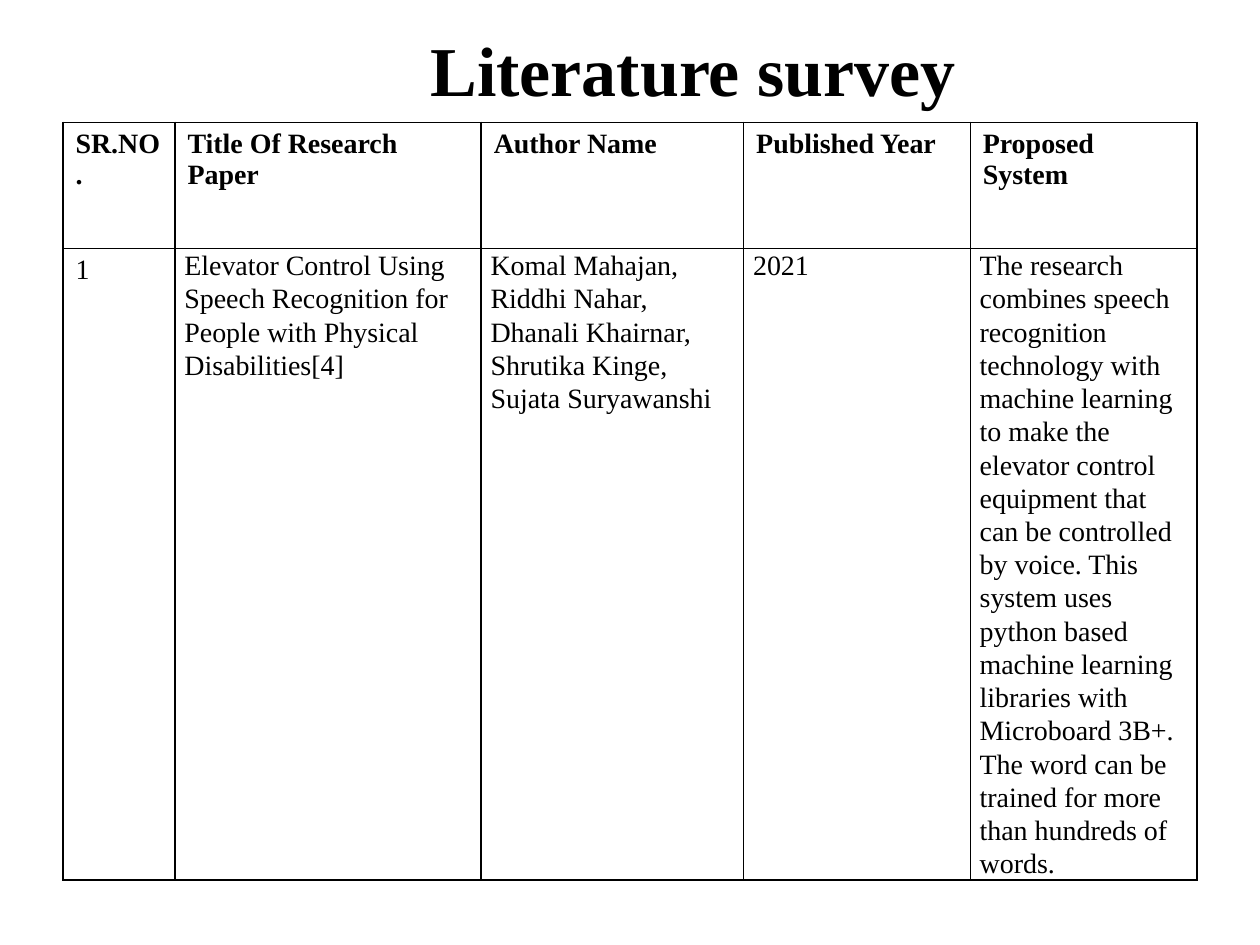
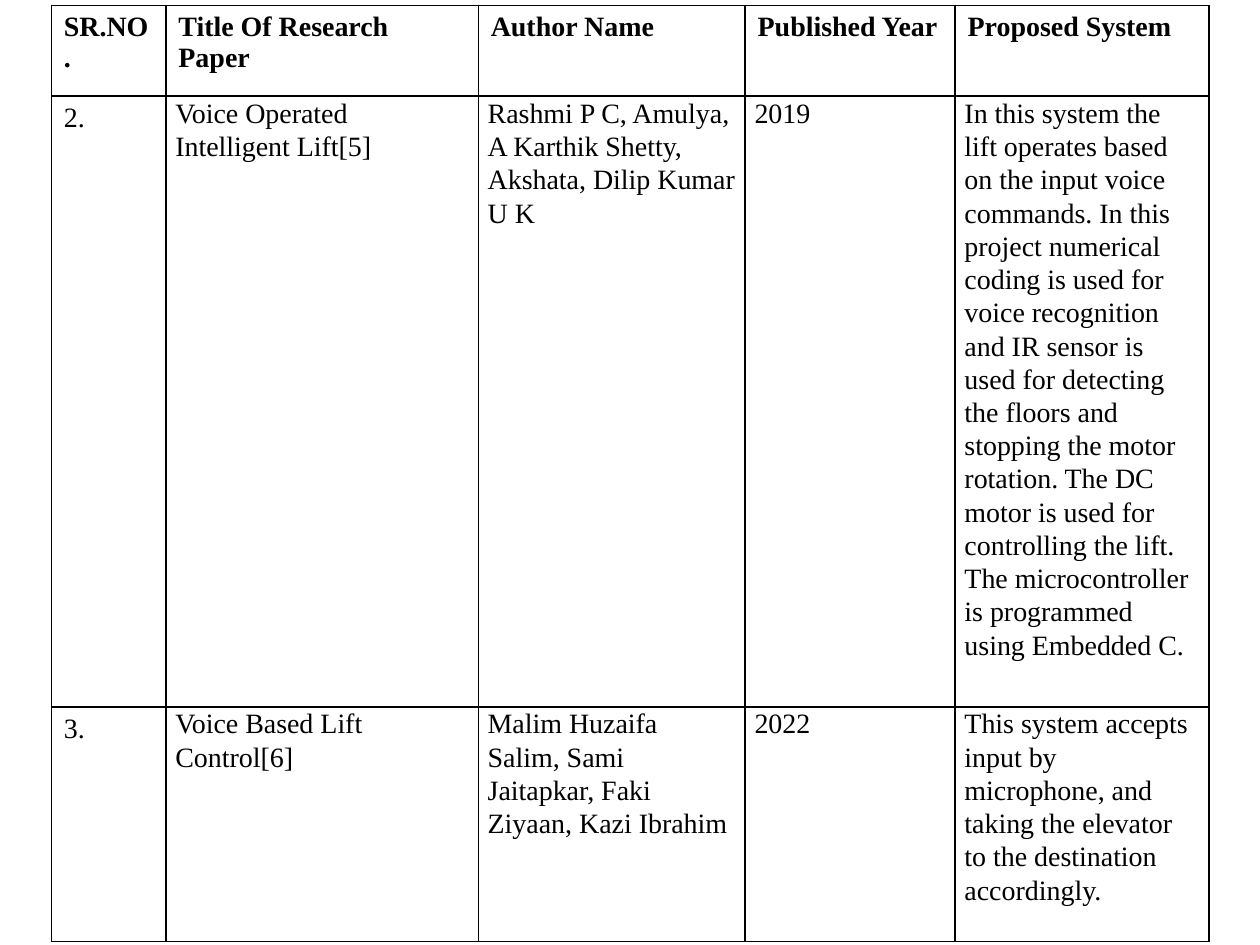
from dataclasses import dataclass

from lxml import etree
from pptx import Presentation
from pptx.dml.color import RGBColor
from pptx.enum import text
from pptx.oxml import ns
from pptx.util import Pt

BLACK = RGBColor(0x00, 0x00, 0x00)
WHITE = RGBColor(0xFF, 0xFF, 0xFF)
FONT = "Times New Roman"
HEADERS = ("SR.NO.", "Title Of Research Paper", "Author Name",
           "Published Year", "Proposed System")


@dataclass(frozen=True)
class Paper:
    number: str
    title: str
    authors: str
    year: str
    system: str

    def values(self) -> tuple[str, ...]:
        return self.number, self.title, self.authors, self.year, self.system


@dataclass(frozen=True)
class Survey:
    left: float
    top: float
    widths: tuple[float, ...]
    heights: tuple[float, ...]
    papers: tuple[Paper, ...]
    heading: str = ""


SURVEYS = (
    Survey(
        36, 70, (64, 175, 150, 129.5, 129.5), (72, 361),
        (Paper("1",
               "Elevator Control Using Speech Recognition for People with "
               "Physical Disabilities[4]",
               "Komal Mahajan, Riddhi Nahar, Dhanali Khairnar, Shrutika Kinge, "
               "Sujata Suryawanshi",
               "2021",
               "The research combines speech recognition technology with machine "
               "learning to make the elevator control equipment that can be "
               "controlled by voice. This system uses python based machine "
               "learning libraries with Microboard 3B+. The word can be trained "
               "for more than hundreds of words."),),
        "Literature survey"),
    Survey(
        29.3, 3, (65.5, 178.5, 152.5, 120, 145), (52, 348.5, 134),
        (Paper("2.",
               "Voice Operated Intelligent Lift[5]",
               "Rashmi P C, Amulya, A Karthik Shetty, Akshata, Dilip Kumar U K",
               "2019",
               "In this system the lift operates based on the input voice "
               "commands. In this project numerical coding is used for voice "
               "recognition and IR sensor is used for detecting the floors and "
               "stopping the motor rotation. The DC motor is used for controlling "
               "the lift. The microcontroller is programmed using Embedded C."),
         Paper("3.",
               "Voice Based Lift Control[6]",
               "Malim Huzaifa Salim, Sami Jaitapkar, Faki Ziyaan, Kazi Ibrahim",
               "2022",
               "This system accepts input by microphone, and taking the elevator "
               "to the destination accordingly."))),
)


def style_runs(p, size: float, bold: bool) -> None:
    for r in p.runs:
        r.font.name = FONT
        r.font.size = Pt(size)
        r.font.bold = bold
        r.font.color.rgb = BLACK


def add_borders(cell) -> None:
    tc_pr = cell._tc.get_or_add_tcPr()
    for side in "LRTB":
        ln = etree.SubElement(tc_pr, ns.qn(f"a:ln{side}"), w=str(Pt(1)))
        fill = etree.SubElement(ln, ns.qn("a:solidFill"))
        etree.SubElement(fill, ns.qn("a:srgbClr"), val=str(BLACK))


def fill_cell(cell, banded: bool) -> None:
    if not banded:
        cell.fill.background()
        return
    cell.fill.solid()
    cell.fill.fore_color.rgb = WHITE
    color = cell._tc.tcPr.find(f"{ns.qn('a:solidFill')}/{ns.qn('a:srgbClr')}")
    etree.SubElement(color, ns.qn("a:alpha"), val="20000")


def write_cell(cell, value: str, row: int, col: int) -> None:
    cell.text_frame.text = value
    p = cell.text_frame.paragraphs[0]
    if row and col:
        cell.margin_left = cell.margin_right = Pt(5.4)
        cell.margin_top = cell.margin_bottom = Pt(0)
        p.line_spacing = 1.07
        p.space_after = Pt(8)
    style_runs(p, 16, row == 0)
    add_borders(cell)
    fill_cell(cell, row % 2 == 1)


def add_survey_table(s, survey: Survey) -> None:
    rows = (HEADERS, *(paper.values() for paper in survey.papers))
    table = s.shapes.add_table(
        len(rows), len(HEADERS), Pt(survey.left), Pt(survey.top),
        Pt(sum(survey.widths)), Pt(sum(survey.heights))).table
    table.first_row = table.horz_banding = False
    for column, width in zip(table.columns, survey.widths):
        column.width = Pt(width)
    for i, (values, height) in enumerate(zip(rows, survey.heights)):
        table.rows[i].height = Pt(height)
        for j, value in enumerate(values):
            write_cell(table.cell(i, j), value, i, j)


def add_heading(s, heading: str) -> None:
    tf = s.shapes.add_textbox(Pt(36), Pt(11.5), Pt(720), Pt(55.5)).text_frame
    tf.word_wrap = True
    tf.auto_size = text.MSO_AUTO_SIZE.SHAPE_TO_FIT_TEXT
    tf.text = heading
    p = tf.paragraphs[0]
    p.alignment = text.PP_ALIGN.CENTER
    style_runs(p, 40, True)


def main() -> None:
    prs = Presentation()
    prs.slide_width, prs.slide_height = Pt(720), Pt(540)
    for survey in SURVEYS:
        s = prs.slides.add_slide(prs.slide_layouts[6])
        add_survey_table(s, survey)
        if survey.heading:
            add_heading(s, survey.heading)
    prs.save("out.pptx")


if __name__ == "__main__":
    main()
